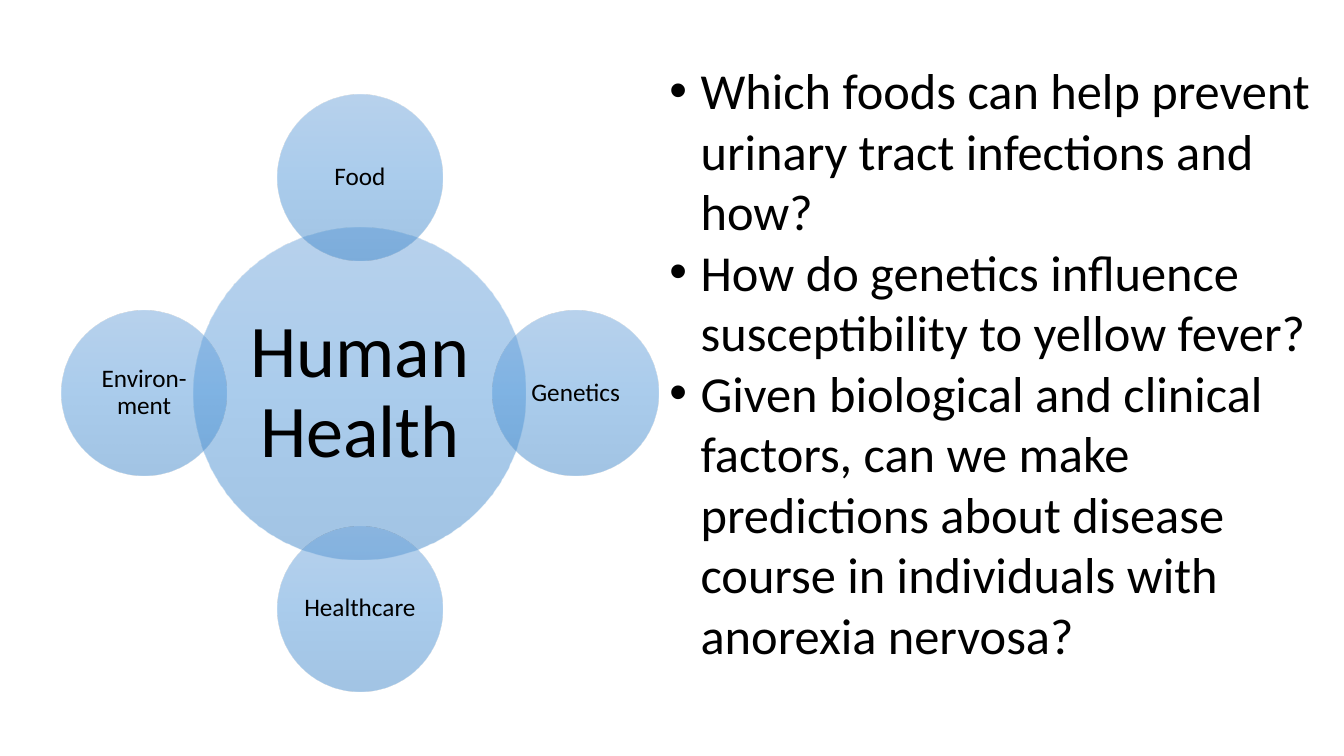
import math

import lxml.etree
import pptx
import pptx.dml.color
import pptx.enum.shapes
import pptx.enum.text
import pptx.oxml
import pptx.oxml.ns
import pptx.util

Inches = pptx.util.Inches
Pt = pptx.util.Pt
RGBColor = pptx.dml.color.RGBColor

HUB = "Human Health"
FACTORS = ["Food", "Genetics", "Healthcare", "Environ-ment"]
QUESTIONS = [
    "Which foods can help prevent urinary tract infections and how?",
    "How do genetics influence susceptibility to yellow fever?",
    "Given biological and clinical factors, can we make predictions about "
    "disease course in individuals with anorexia nervosa?",
]

BLACK = RGBColor(0x00, 0x00, 0x00)
GRADIENT = [
    (0, RGBColor(0x71, 0xA6, 0xDB)),
    (50, RGBColor(0x55, 0x9B, 0xDB)),
    (100, RGBColor(0x44, 0x8A, 0xCA)),
]
OPACITY = 50
FONT = "Calibri"

CENTER_X, CENTER_Y = 3.57, 3.9
HUB_SIZE, FACTOR_SIZE = 3.29, 1.64
ORBIT = 2.14
BULLET_INDENT = Inches(0.31)


def set_font(paragraph, size):
    paragraph.font.name = FONT
    paragraph.font.size = Pt(size)
    paragraph.font.color.rgb = BLACK


def fill_translucent(circle):
    stops = "".join(
        f'<a:gs pos="{position * 1000}"><a:srgbClr val="{color}">'
        f'<a:alpha val="{OPACITY * 1000}"/></a:srgbClr></a:gs>'
        for position, color in GRADIENT
    )
    gradient = pptx.oxml.parse_xml(
        f'<a:gradFill {pptx.oxml.ns.nsdecls("a")} rotWithShape="1">'
        f'<a:gsLst>{stops}</a:gsLst><a:lin ang="5400000" scaled="0"/></a:gradFill>'
    )
    geometry = circle._element.spPr.find(pptx.oxml.ns.qn("a:prstGeom"))
    geometry.addnext(gradient)


def add_circle(slide, label, x, y, diameter, font_size):
    circle = slide.shapes.add_shape(
        pptx.enum.shapes.MSO_SHAPE.OVAL,
        Inches(x - diameter / 2), Inches(y - diameter / 2),
        Inches(diameter), Inches(diameter),
    )
    circle.shadow.inherit = False
    circle.line.fill.background()
    fill_translucent(circle)
    frame = circle.text_frame
    frame.word_wrap = True
    frame.vertical_anchor = pptx.enum.text.MSO_ANCHOR.MIDDLE
    frame.margin_left = frame.margin_right = Inches(0.02)
    frame.margin_top = frame.margin_bottom = Inches(0.02)
    paragraph = frame.paragraphs[0]
    paragraph.text = label
    paragraph.alignment = pptx.enum.text.PP_ALIGN.CENTER
    paragraph.line_spacing = 0.9
    set_font(paragraph, font_size)


def add_questions(slide):
    questions = slide.shapes.add_textbox(
        Inches(6.54), Inches(0.54), Inches(6.62), Inches(6.46)
    )
    frame = questions.text_frame
    frame.word_wrap = True
    for index, question in enumerate(QUESTIONS):
        paragraph = frame.add_paragraph() if index else frame.paragraphs[0]
        paragraph.text = question
        properties = paragraph._p.get_or_add_pPr()
        properties.set("marL", str(BULLET_INDENT))
        properties.set("indent", str(-BULLET_INDENT))
        for tag, name, value in (("a:buFont", "typeface", "Arial"), ("a:buChar", "char", "•")):
            lxml.etree.SubElement(properties, pptx.oxml.ns.qn(tag)).set(name, value)
        set_font(paragraph, 36)


def main():
    deck = pptx.Presentation()
    deck.slide_width = Inches(13.33)
    deck.slide_height = Inches(7.5)
    slide = deck.slides.add_slide(deck.slide_layouts[6])
    add_circle(slide, HUB, CENTER_X, CENTER_Y, HUB_SIZE, 53)
    for index, factor in enumerate(FACTORS):
        angle = math.tau * index / len(FACTORS)
        x = CENTER_X + ORBIT * math.sin(angle)
        y = CENTER_Y - ORBIT * math.cos(angle)
        add_circle(slide, factor, x, y, FACTOR_SIZE, 18)
    add_questions(slide)
    deck.save("out.pptx")


if __name__ == "__main__":
    main()
